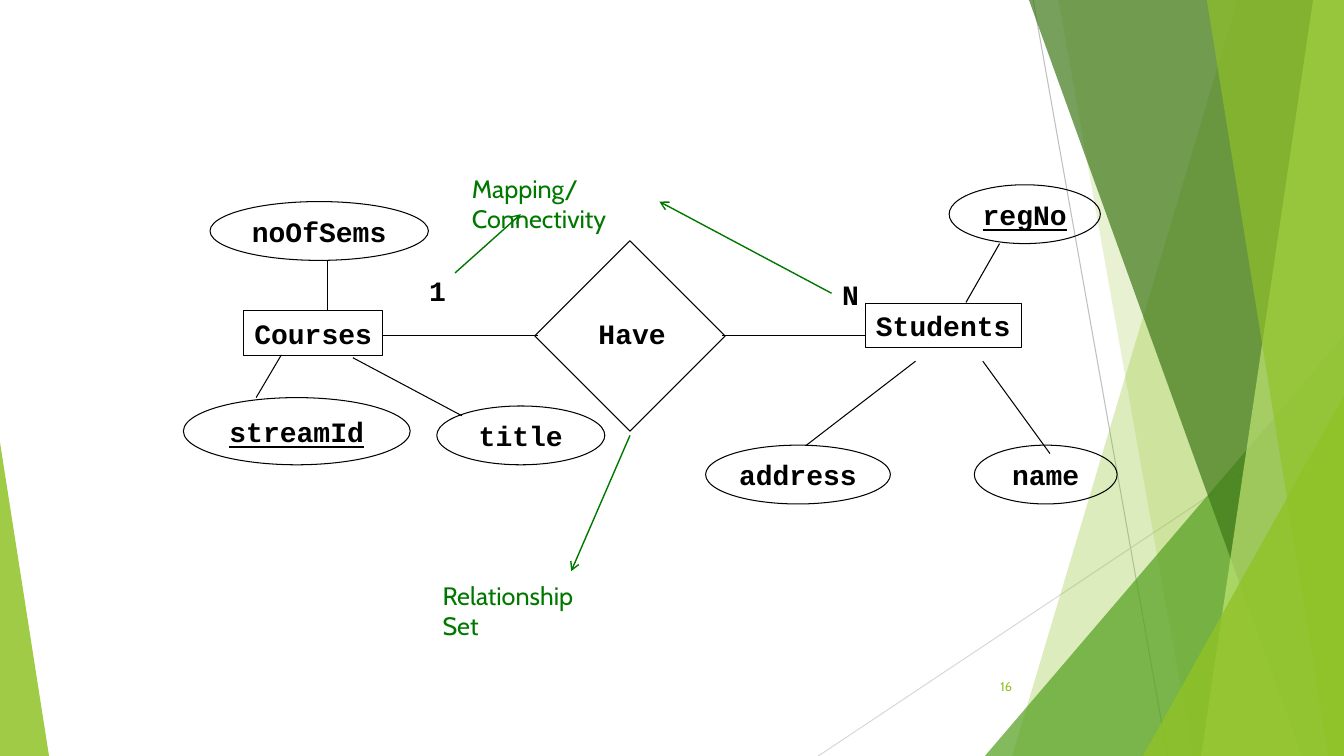
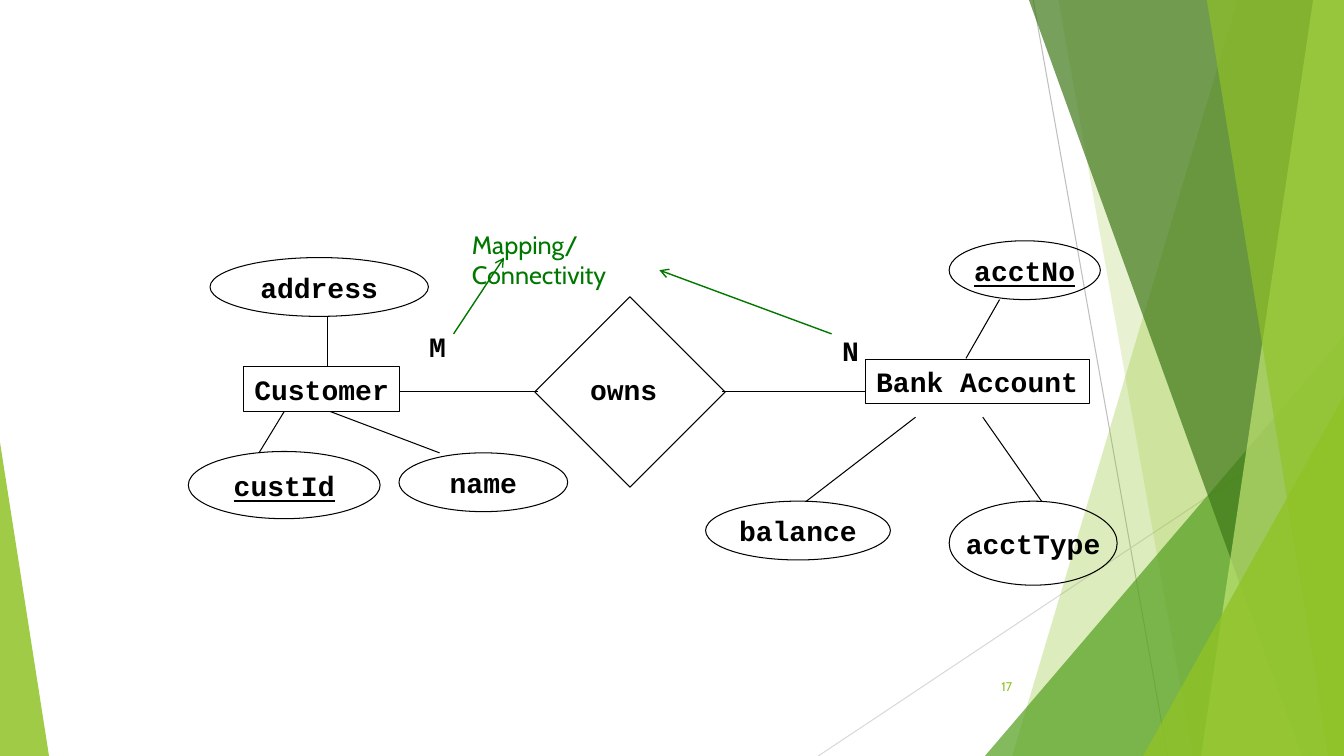
import pptx
import pptx.util
import pptx.dml.color
import pptx.enum.shapes
import pptx.enum.text
import pptx.oxml.ns
import pptx.oxml.xmlchemy

Pt = pptx.util.Pt
RGB = pptx.dml.color.RGBColor
SHAPE = pptx.enum.shapes.MSO_SHAPE
ALIGN = pptx.enum.text.PP_ALIGN
ANCHOR = pptx.enum.text.MSO_ANCHOR
qn = pptx.oxml.ns.qn
new_element = pptx.oxml.xmlchemy.OxmlElement

WIDTH, HEIGHT = 960, 540
BLACK = RGB(0x00, 0x00, 0x00)
NOTE_GREEN = RGB(0x00, 0x78, 0x00)
LIME = RGB(0x90, 0xC2, 0x26)
GREEN = RGB(0x54, 0xA0, 0x21)
DARK_GREEN = RGB(0x3F, 0x78, 0x19)
PALE_LIME = RGB(0xC0, 0xE4, 0x74)
GREY = RGB(0xBF, 0xBF, 0xBF)
LIGHT_GREY = RGB(0xD9, 0xD9, 0xD9)
CODE_FONT, NOTE_FONT = "Courier New", "Cabin"

# Background: thin lines, then facets from back to front.
# A band is (top x, bottom x) and reaches the right edge of the slide.
# A triangle is (left, top, width, apex position).
THIN_LINES = [((738, 0, 834, 540), GREY), ((960, 290, 584.5, 540), LIGHT_GREY)]
FACETS = [
    ("band", (884, 723), LIME, 30),
    ("band", (756, 852), LIME, 20),
    ("triangle", (703.5, 240, 256.5, 1), GREEN, 72),
    ("band", (735, 929.5), DARK_GREEN, 70),
    ("band", (938, 858.5), PALE_LIME, 70),
    ("band", (861.5, 949), LIME, 65),
    ("triangle", (816.5, 283, 143.5, 1), LIME, 80),
    ("triangle", (0, 316, 35, 0), LIME, 85),
]

# Parts common to both diagrams, before each diagram's downward shift.
DIAMOND = (382, 172, 136, 136)
COMMON_LINES = [
    (516, 240, 618, 240),
    (690, 216, 714, 174),
    (654, 258, 576, 318),
    (234, 222, 234, 186),
]
MAPPING_NOTE = ("Mapping/\vConnectivity", (330, 120, 177, 54))

# Boxes are (left, top, width, height), lines (x1, y1, x2, y2).
DIAGRAMS = [
    dict(
        page="16", shift=0,
        entities=[("Courses", (174, 222, 99.5, 32)),
                  ("Students", (618, 216.5, 111.5, 32))],
        keys=[("regNo", (678, 132, 108, 42)), ("streamId", (131, 284, 162, 48))],
        attributes=[("name", (696, 318, 102, 42)), ("address", (504, 318, 132, 42)),
                    ("title", (312, 290, 120, 42)), ("noOfSems", (150, 144, 156, 42))],
        labels=[("Have", (420, 222, 63, 32)), ("1", (299, 191.5, 27, 32)),
                ("N", (594, 194, 27, 32))],
        lines=[(273.5, 240, 384, 240), (201, 253.5, 183, 284),
               (252, 255.5, 330, 297), (702, 258, 750, 324)],
        notes=[MAPPING_NOTE, ("Relationship\vSet", (309, 411, 132, 54))],
        arrows=[(325, 195, 372, 153), (594, 209.5, 471, 144), (450, 311, 408, 408)],
    ),
    dict(
        page="17", shift=40,
        entities=[("Customer", (174, 222, 111.5, 32)),
                  ("Bank Account", (618, 216.5, 160, 32))],
        keys=[("acctNo", (678, 132, 108, 42)), ("custId", (134.5, 282.5, 137, 48))],
        attributes=[("acctType", (678, 318, 120, 60)), ("balance", (504, 318, 132, 42)),
                    ("name", (285, 283.5, 120.5, 42)), ("address", (150, 144, 156, 42))],
        labels=[("owns", (414, 222, 63, 32)), ("M", (299, 191.5, 27, 32)),
                ("N", (594, 194, 27, 32))],
        lines=[(285.5, 240, 384, 240), (203, 254, 185, 283.5),
               (236, 254, 314, 283.5), (702, 258, 744, 318)],
        notes=[MAPPING_NOTE],
        arrows=[(324, 198.5, 360, 144), (594, 198.5, 471, 153)],
    ),
]


def points(values):
    return [Pt(v) for v in values]


def add_line(s, ends, color, width=0.75, arrow=False):
    line = s.shapes.add_connector(
        pptx.enum.shapes.MSO_CONNECTOR.STRAIGHT, *points(ends))
    line.line.color.rgb = color
    line.line.width = Pt(width)
    sp_pr = line.element.spPr
    if arrow:
        tail = new_element("a:tailEnd")
        tail.set("type", "arrow")
        sp_pr.find(qn("a:ln")).append(tail)
    sp_pr.append(new_element("a:effectLst"))
    return line


def add_facet(s, kind, geometry, color, opacity):
    if kind == "band":
        top_x, bottom_x = geometry
        builder = s.shapes.build_freeform(top_x, 0, scale=Pt(1))
        builder.add_line_segments([(WIDTH, 0), (WIDTH, HEIGHT), (bottom_x, HEIGHT)])
        facet = builder.convert_to_shape()
    else:
        left, top, width, apex = geometry
        facet = s.shapes.add_shape(
            SHAPE.ISOSCELES_TRIANGLE, *points((left, top, width, HEIGHT - top)))
        facet.adjustments[0] = apex
    facet.shadow.inherit = False
    facet.line.fill.background()
    facet.fill.solid()
    facet.fill.fore_color.rgb = color
    alpha = new_element("a:alpha")
    alpha.set("val", str(opacity * 1000))
    facet.element.spPr.find(".//" + qn("a:srgbClr")).append(alpha)
    return facet


def move_background_to_layout(s, layout):
    """Draw the background on a slide, then hand it to the layout all slides use."""
    for placeholder in list(layout.placeholders):
        layout.shapes.element.remove(placeholder.element)
    parts = [add_line(s, ends, color) for ends, color in THIN_LINES]
    parts += [add_facet(s, *facet) for facet in FACETS]
    for part in parts:
        layout.shapes.element.append(part.element)


def set_text(sp, text, font=CODE_FONT, size=20, color=BLACK, align=ALIGN.CENTER,
             anchor=ANCHOR.MIDDLE, wrap=False, bold=True, underline=False):
    tf = sp.text_frame
    tf.text = text
    tf.word_wrap = wrap
    tf.vertical_anchor = anchor
    p = tf.paragraphs[0]
    p.alignment = align
    for r in p.runs:
        r.font.name = font
        r.font.size = Pt(size)
        r.font.color.rgb = color
        r.font.bold = bold
        r.font.underline = underline


def add_outline(s, shape, box, text="", underline=False):
    sp = s.shapes.add_shape(shape, *points(box))
    sp.shadow.inherit = False
    sp.fill.background()
    sp.line.color.rgb = BLACK
    sp.line.width = Pt(0.75)
    if text:
        set_text(sp, text, underline=underline)


def add_label(s, text, box, **style):
    set_text(s.shapes.add_textbox(*points(box)), text, **style)


def draw_diagram(s, diagram):
    shift = diagram["shift"]

    def place(box):
        left, top, width, height = box
        return left, top + shift, width, height

    def place_line(ends):
        x1, y1, x2, y2 = ends
        return x1, y1 + shift, x2, y2 + shift

    add_outline(s, SHAPE.DIAMOND, place(DIAMOND))
    for kind, shape in (("entities", SHAPE.RECTANGLE), ("keys", SHAPE.OVAL),
                        ("attributes", SHAPE.OVAL)):
        for text, box in diagram[kind]:
            add_outline(s, shape, place(box), text, underline=kind == "keys")
    for ends in COMMON_LINES + diagram["lines"]:
        add_line(s, place_line(ends), BLACK)
    for text, box in diagram["labels"]:
        add_label(s, text, place(box))
    for text, box in diagram["notes"]:
        add_label(s, text, place(box), font=NOTE_FONT, size=18, color=NOTE_GREEN,
                  align=ALIGN.LEFT, anchor=ANCHOR.TOP, wrap=True, bold=False)
    for ends in diagram["arrows"]:
        add_line(s, place_line(ends), NOTE_GREEN, width=1, arrow=True)
    add_label(s, diagram["page"], (676, 476, 54, 29), font=NOTE_FONT, size=9,
              color=LIME, align=ALIGN.RIGHT, wrap=True, bold=False)


def main():
    prs = pptx.Presentation()
    prs.slide_width, prs.slide_height = Pt(WIDTH), Pt(HEIGHT)
    layout = prs.slide_layouts[6]
    slides = [prs.slides.add_slide(layout) for _ in DIAGRAMS]
    move_background_to_layout(slides[0], layout)
    for s, diagram in zip(slides, DIAGRAMS):
        draw_diagram(s, diagram)
    prs.save("out.pptx")


if __name__ == "__main__":
    main()
